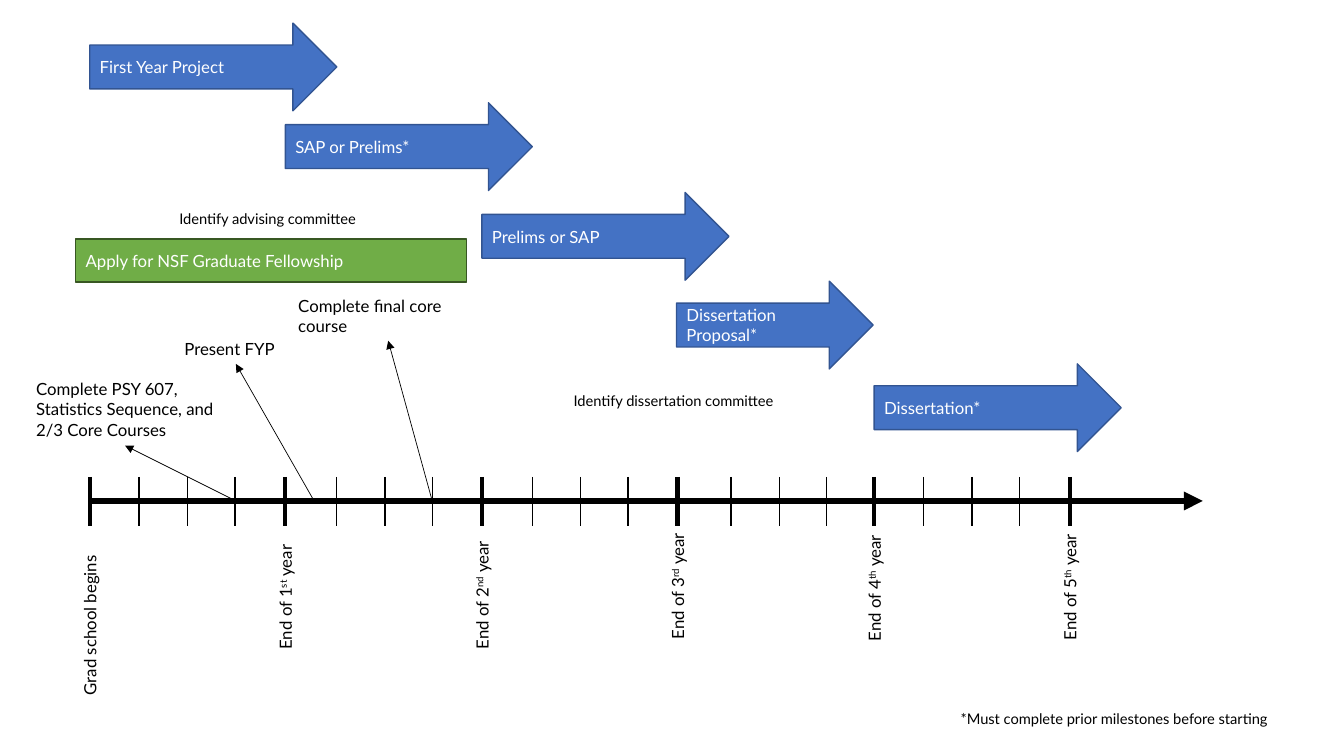
from dataclasses import dataclass
from typing import NamedTuple

import pptx
import pptx.dml.color
import pptx.enum.shapes
import pptx.enum.text
import pptx.oxml.xmlchemy
import pptx.util
from pptx.util import Inches

ALIGN = pptx.enum.text.PP_ALIGN
ANCHOR = pptx.enum.text.MSO_ANCHOR
AUTO_SIZE = pptx.enum.text.MSO_AUTO_SIZE
SHAPE = pptx.enum.shapes.MSO_SHAPE


@dataclass(frozen=True)
class Theme:
    font: str = "Lato"
    text: str = "000000"
    inverse: str = "FFFFFF"
    milestone: str = "4472C4"
    milestone_edge: str = "325491"
    fellowship: str = "70AD47"
    fellowship_edge: str = "385723"
    body: float = 12
    small: float = 10.5
    axis: float = 4.5
    year_tick: float = 3
    thin: float = 1
    pointer: float = 0.5


class Block(NamedTuple):
    text: str
    left: float
    top: float
    width: float
    height: float = 0.87
    preset: int = SHAPE.RIGHT_ARROW
    fill: str = Theme.milestone
    edge: str = Theme.milestone_edge


class Note(NamedTuple):
    text: str
    left: float
    top: float
    width: float
    height: float
    size: float = Theme.body
    wrap: bool = True


class YearLabel(NamedTuple):
    text: str
    ordinal: str
    rest: str
    center_y: float
    width: float
    align: int = ALIGN.RIGHT


class Pointer(NamedTuple):
    start: tuple[float, float]
    end: tuple[float, float]


THEME = Theme()
AXIS_LEFT, AXIS_RIGHT, AXIS_Y = 0.89, 11.93, 4.97
TICK_TOP, TICK_BOTTOM = 4.73, 5.22
YEAR_STEP = 1.944
QUARTER_STARTS = (1.38, 3.34, 5.28, 7.25, 9.16)
QUARTER_OFFSETS = (0, 0.48, 0.95)
LABEL_HEIGHT = 0.3

YEAR_LABELS = (
    YearLabel("Grad school begins", "", "", 6.15, 1.69, ALIGN.LEFT),
    YearLabel("End of 1", "st", " year", 5.94, 1.27),
    YearLabel("End of 2", "nd", " year", 5.94, 1.34),
    YearLabel("End of 3", "rd", " year", 5.85, 1.32),
    YearLabel("End of 4", "th", " year", 5.85, 1.28),
    YearLabel("End of 5", "th", " year", 5.84, 1.28),
)
BLOCKS = (
    Block("First Year Project", 0.89, 0.23, 2.45),
    Block("SAP or Prelims*", 2.83, 1.02, 2.45),
    Block("Prelims or SAP", 4.78, 1.91, 2.45),
    Block("Dissertation Proposal*", 6.71, 2.79, 1.95),
    Block("Dissertation*", 8.67, 3.61, 2.45),
    Block("Apply for NSF Graduate Fellowship", 0.75, 2.37, 3.88, 0.43,
          SHAPE.RECTANGLE, THEME.fellowship, THEME.fellowship_edge),
)
NOTES = (
    Note("Complete PSY 607, Statistics Sequence, and 2/3 Core Courses", 0.26, 3.71, 1.97, 0.71),
    Note("Complete final core course", 2.86, 2.88, 1.97, 0.5),
    Note("Present FYP", 1.73, 3.31, 1.22, 0.3),
    Note("Identify advising committee", 1.68, 2.03, 2.14, 0.29, THEME.small, False),
    Note("Identify dissertation committee", 5.59, 3.84, 2.3, 0.28, THEME.small, False),
    Note("*Must complete prior milestones before starting", 9.43, 6.99, 3.45, 0.28,
         THEME.small, False),
)
POINTERS = (
    Pointer((2.32, 4.96), (1.24, 4.42)),
    Pointer((4.29, 4.98), (3.85, 3.38)),
    Pointer((3.11, 4.96), (2.34, 3.61)),
)


def color(value: str) -> pptx.dml.color.RGBColor:
    return pptx.dml.color.RGBColor.from_string(value)


def add_text(paragraph, text: str, *, size: float = THEME.body,
             fill: str = THEME.text, superscript: bool = False) -> None:
    run = paragraph.add_run()
    run.text = text
    run.font.name = THEME.font
    run.font.size = pptx.util.Pt(size)
    run.font.color.rgb = color(fill)
    if superscript:
        run.font._element.set("baseline", "30000")


def add_line(slide, start: tuple[float, float], end: tuple[float, float],
             width: float, arrow: bool = False) -> None:
    connector = slide.shapes.add_connector(
        pptx.enum.shapes.MSO_CONNECTOR.STRAIGHT,
        *(Inches(value) for value in (*start, *end)))
    connector.line.color.rgb = color(THEME.text)
    connector.line.width = pptx.util.Pt(width)
    if arrow:
        tail = pptx.oxml.xmlchemy.OxmlElement("a:tailEnd")
        tail.set("type", "triangle")
        connector.line._get_or_add_ln().append(tail)
    connector._element.spPr.append(pptx.oxml.xmlchemy.OxmlElement("a:effectLst"))


def add_text_box(slide, left: float, top: float, width: float, height: float, wrap: bool):
    box = slide.shapes.add_textbox(Inches(left), Inches(top), Inches(width), Inches(height))
    box.text_frame.word_wrap = wrap
    box.text_frame.auto_size = AUTO_SIZE.SHAPE_TO_FIT_TEXT
    return box


def add_note(slide, note: Note) -> None:
    box = add_text_box(slide, note.left, note.top, note.width, note.height, note.wrap)
    add_text(box.text_frame.paragraphs[0], note.text, size=note.size)


def add_year_label(slide, label: YearLabel, center_x: float) -> None:
    box = add_text_box(slide, center_x - label.width / 2, label.center_y - LABEL_HEIGHT / 2,
                       label.width, LABEL_HEIGHT, False)
    box.rotation = 270
    paragraph = box.text_frame.paragraphs[0]
    paragraph.alignment = label.align
    add_text(paragraph, label.text)
    if label.ordinal:
        add_text(paragraph, label.ordinal, superscript=True)
        add_text(paragraph, label.rest)


def add_block(slide, block: Block) -> None:
    shape = slide.shapes.add_shape(block.preset, Inches(block.left), Inches(block.top),
                                   Inches(block.width), Inches(block.height))
    shape.shadow.inherit = False
    shape.fill.solid()
    shape.fill.fore_color.rgb = color(block.fill)
    shape.line.color.rgb = color(block.edge)
    shape.line.width = pptx.util.Pt(THEME.thin)
    shape.text_frame.word_wrap = True
    shape.text_frame.vertical_anchor = ANCHOR.MIDDLE
    paragraph = shape.text_frame.paragraphs[0]
    paragraph.alignment = ALIGN.LEFT
    add_text(paragraph, block.text, fill=THEME.inverse)


presentation = pptx.Presentation()
presentation.slide_width, presentation.slide_height = Inches(13.33), Inches(7.5)
slide = presentation.slides.add_slide(presentation.slide_layouts[6])

# Time axis with year ticks and their labels
add_line(slide, (AXIS_LEFT, AXIS_Y), (AXIS_RIGHT, AXIS_Y), THEME.axis, arrow=True)
for year, label in enumerate(YEAR_LABELS):
    x = round(AXIS_LEFT + year * YEAR_STEP, 2)
    add_line(slide, (x, TICK_TOP), (x, TICK_BOTTOM), THEME.year_tick)
    add_year_label(slide, label, x)

# Quarter ticks
for first in QUARTER_STARTS:
    for offset in QUARTER_OFFSETS:
        x = first + offset
        add_line(slide, (x, TICK_TOP), (x, TICK_BOTTOM), THEME.thin)

# Milestones and fellowship
for block in BLOCKS:
    add_block(slide, block)

# Notes and the pointers to them
for note in NOTES:
    add_note(slide, note)
for pointer in POINTERS:
    add_line(slide, pointer.start, pointer.end, THEME.pointer, arrow=True)

presentation.save("out.pptx")
